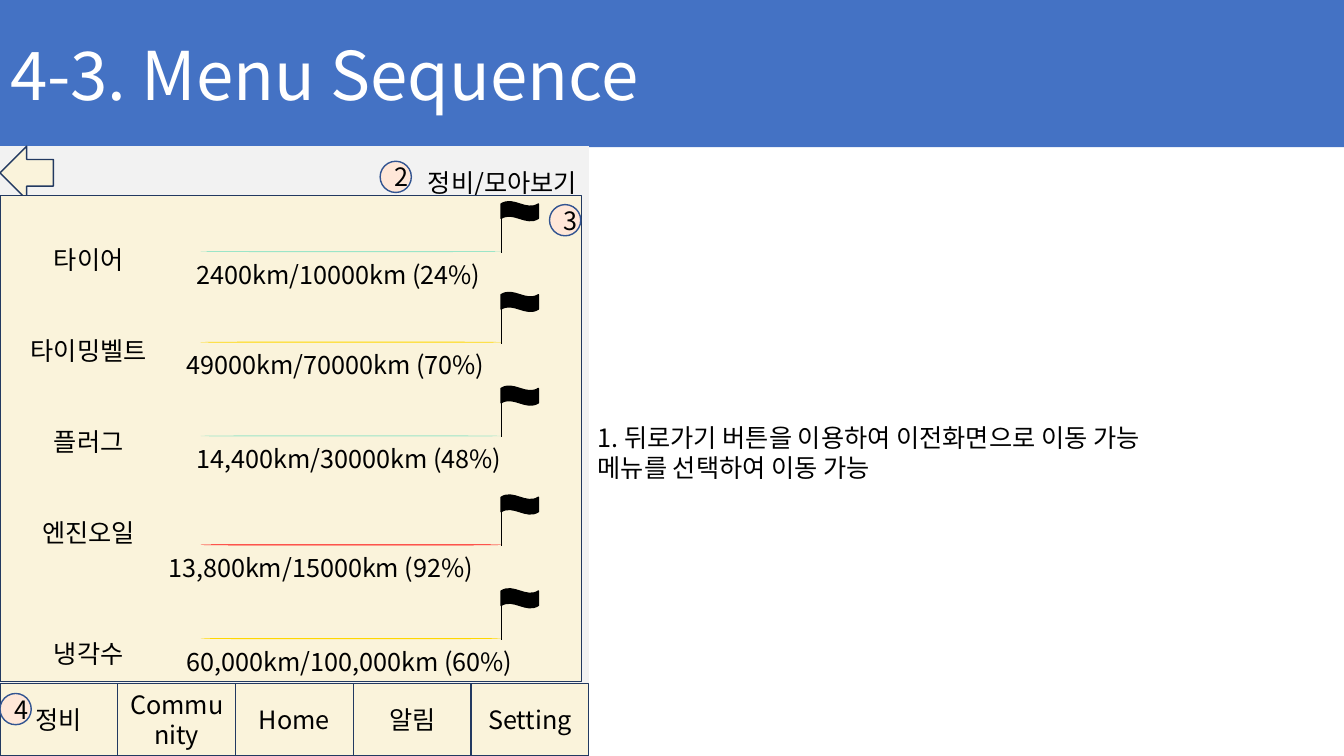
from typing import NamedTuple, Optional

from lxml import etree
from pptx import Presentation
from pptx.dml.color import RGBColor
from pptx.enum.shapes import MSO_CONNECTOR, MSO_SHAPE
from pptx.enum.text import MSO_ANCHOR, MSO_AUTO_SIZE, PP_ALIGN
from pptx.oxml.ns import qn
from pptx.slide import Slide
from pptx.text.text import TextFrame
from pptx.util import Inches, Pt

RECTANGLE = MSO_SHAPE.RECTANGLE
ELLIPSE = MSO_SHAPE.OVAL
BACK_ARROW = MSO_SHAPE.LEFT_ARROW
WAVE = MSO_SHAPE.WAVE
TERMINATOR = MSO_SHAPE.FLOWCHART_TERMINATOR
STRAIGHT = MSO_CONNECTOR.STRAIGHT
TOP, MIDDLE = MSO_ANCHOR.TOP, MSO_ANCHOR.MIDDLE
LEFT, CENTER, RIGHT = PP_ALIGN.LEFT, PP_ALIGN.CENTER, PP_ALIGN.RIGHT
NO_AUTOFIT = MSO_AUTO_SIZE.NONE

BLUE = RGBColor(0x44, 0x72, 0xC4)
WHITE = RGBColor(0xFF, 0xFF, 0xFF)
BLACK = RGBColor(0x00, 0x00, 0x00)
GREY = RGBColor(0xF2, 0xF2, 0xF2)
CREAM = RGBColor(0xFA, 0xF3, 0xDB)
NAVY = RGBColor(0x22, 0x39, 0x61)
PEACH = RGBColor(0xFF, 0xE7, 0xD8)
BADGE_BLUE = RGBColor(0x32, 0x54, 0x91)
MINT = RGBColor(0x9B, 0xE5, 0xC8)
YELLOW = RGBColor(0xFF, 0xD7, 0x00)
RED = RGBColor(0xFF, 0x00, 0x00)

FONT = "Noto Sans CJK KR"
BAR_LEFT, BAR_WIDTH = 1.99, 2.98
FLAG_LEFT = BAR_LEFT + BAR_WIDTH
TAB_WIDTH = 5.84 / 5


class Box(NamedTuple):
    left: float
    top: float
    width: float
    height: float


class Part(NamedTuple):
    name: str
    gap_before: float


class Gauge(NamedTuple):
    top: float
    color: RGBColor
    text_left: float
    reading: str


class Badge(NamedTuple):
    left: float
    top: float
    number: str


PARTS = [
    Part("타이어", 0),
    Part("타이밍벨트", 43.4),
    Part("플러그", 43.4),
    Part("엔진오일", 43.4),
    Part("냉각수", 65),
]
GAUGES = [
    Gauge(2.49, MINT, 1.85, "2400km/10000km (24%)"),
    Gauge(3.39, YELLOW, 1.75, "49000km/70000km (70%)"),
    Gauge(4.32, MINT, 1.85, "14,400km/30000km (48%)"),
    Gauge(5.40, RED, 1.57, "13,800km/15000km (92%)"),
    Gauge(6.33, YELLOW, 1.75, "60,000km/100,000km (60%)"),
]
BADGES = [Badge(3.77, 1.6, "2"), Badge(5.45, 2.03, "3"), Badge(0, 6.88, "4")]
TABS = ["정비", "Community", "Home", "알림", "Setting"]


def write(frame: TextFrame, lines: list[str], align: PP_ALIGN, anchor: MSO_ANCHOR = MIDDLE,
          size: float = 18, color: RGBColor = BLACK) -> None:
    frame.word_wrap = True
    frame.auto_size = NO_AUTOFIT
    frame.vertical_anchor = anchor
    for index, line in enumerate(lines):
        paragraph = frame.add_paragraph() if index else frame.paragraphs[0]
        paragraph.alignment = align
        run = paragraph.add_run()
        run.text = line
        run.font.size = Pt(size)
        run.font.color.rgb = color
        run.font.name = FONT
        etree.SubElement(run.font._element, qn("a:ea")).set("typeface", FONT)


def add_text(slide: Slide, box: Box, lines: list[str], align: PP_ALIGN = LEFT,
             anchor: MSO_ANCHOR = MIDDLE) -> TextFrame:
    frame = slide.shapes.add_textbox(*map(Inches, box)).text_frame
    write(frame, lines, align, anchor)
    return frame


def add_block(slide: Slide, kind: MSO_SHAPE, box: Box, fill: RGBColor,
              line: Optional[RGBColor] = None, label: str = "") -> None:
    block = slide.shapes.add_shape(kind, *map(Inches, box))
    block.shadow.inherit = False
    block.fill.solid()
    block.fill.fore_color.rgb = fill
    if line is None:
        block.line.fill.background()
    else:
        block.line.color.rgb = line
        block.line.width = Pt(1)
    if label:
        write(block.text_frame, [label], CENTER)


def add_gauge(slide: Slide, gauge: Gauge) -> None:
    add_block(slide, TERMINATOR, Box(BAR_LEFT, gauge.top, BAR_WIDTH, 0.01), gauge.color)
    add_block(slide, WAVE, Box(FLAG_LEFT, gauge.top - 0.49, 0.37, 0.19), BLACK, BLACK)
    pole = slide.shapes.add_connector(
        STRAIGHT, Inches(FLAG_LEFT), Inches(gauge.top - 0.39),
        Inches(FLAG_LEFT), Inches(gauge.top + 0.02))
    pole.line.color.rgb = BLACK
    pole.line.width = Pt(0.5)
    etree.SubElement(pole._element.spPr, qn("a:effectLst"))
    add_text(slide, Box(gauge.text_left, gauge.top + 0.03, 6.4, 0.4), [gauge.reading], anchor=TOP)


def add_title(slide: Slide, text: str) -> None:
    title = slide.shapes.title
    title.left, title.top, title.width, title.height = map(Inches, Box(0, 0, 13.33, 1.46))
    title.fill.solid()
    title.fill.fore_color.rgb = BLUE
    write(title.text_frame, [text], LEFT, size=48, color=WHITE)


def main() -> None:
    deck = Presentation()
    deck.slide_width, deck.slide_height = Inches(13.33), Inches(7.5)
    slide = deck.slides.add_slide(deck.slide_layouts[5])

    add_title(slide, "4-3. Menu Sequence")
    add_text(slide, Box(5.83, 1.48, 7.5, 6.02),
             ["1. 뒤로가기 버튼을 이용하여 이전화면으로 이동 가능", "메뉴를 선택하여 이동 가능"])

    add_block(slide, RECTANGLE, Box(0, 1.45, 5.84, 6.05), GREY)
    for index, tab in enumerate(TABS):
        add_block(slide, RECTANGLE, Box(index * TAB_WIDTH, 6.78, TAB_WIDTH, 0.72),
                  CREAM, NAVY, tab)
    add_text(slide, Box(1.38, 1.45, 4.44, 0.72), ["정비/모아보기"], RIGHT)
    add_block(slide, BACK_ARROW, Box(0, 1.45, 0.53, 0.53), CREAM, NAVY)
    add_block(slide, RECTANGLE, Box(0, 1.94, 5.77, 4.82), CREAM, NAVY)

    for gauge in GAUGES:
        add_gauge(slide, gauge)

    part_names = add_text(slide, Box(0.15, 2.36, 1.46, 4.33),
                          [part.name for part in PARTS], CENTER)
    for paragraph, part in zip(part_names.paragraphs, PARTS):
        paragraph.space_before = Pt(part.gap_before)

    for badge in BADGES:
        add_block(slide, ELLIPSE, Box(badge.left, badge.top, 0.31, 0.31),
                  PEACH, BADGE_BLUE, badge.number)

    deck.save("out.pptx")


if __name__ == "__main__":
    main()
